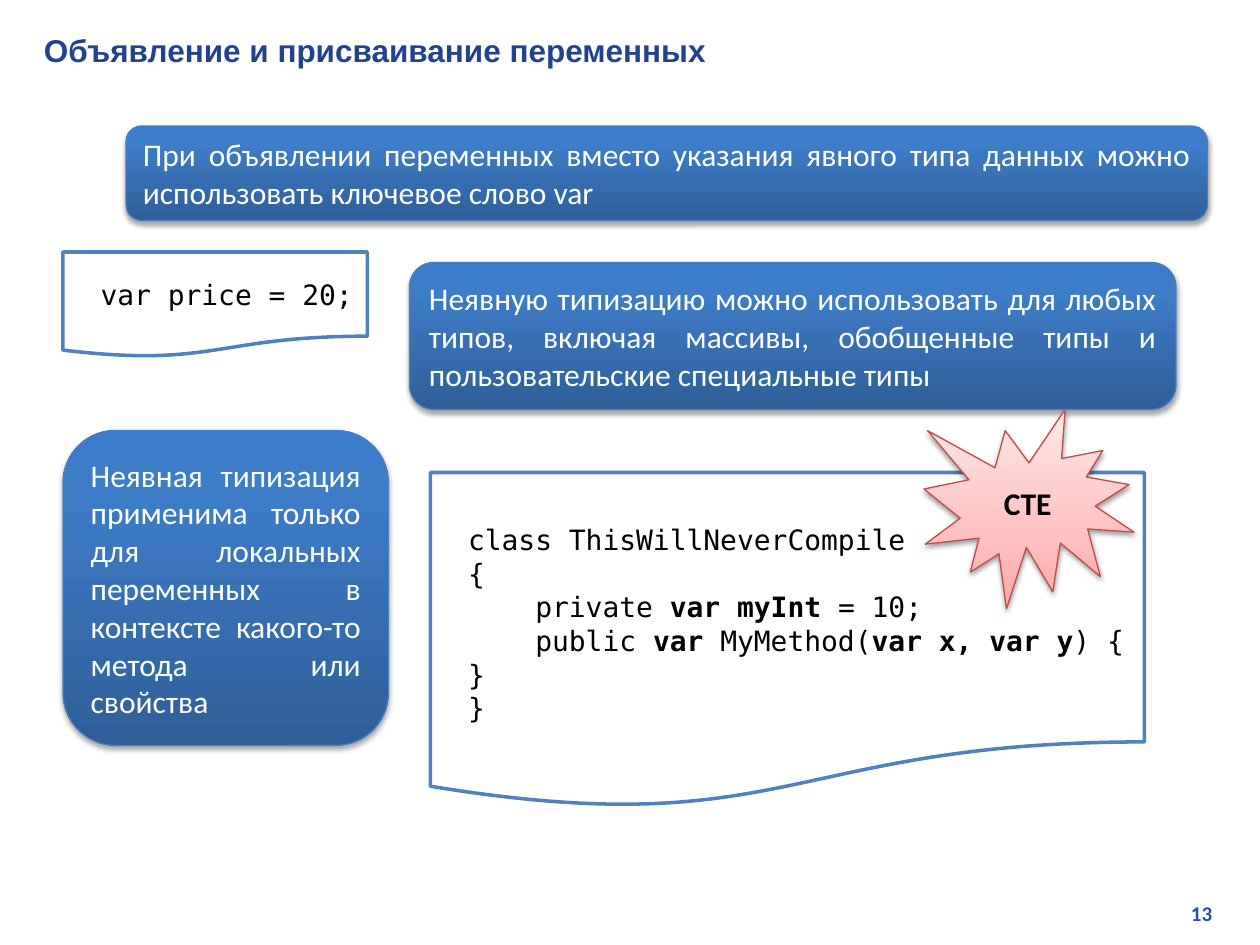
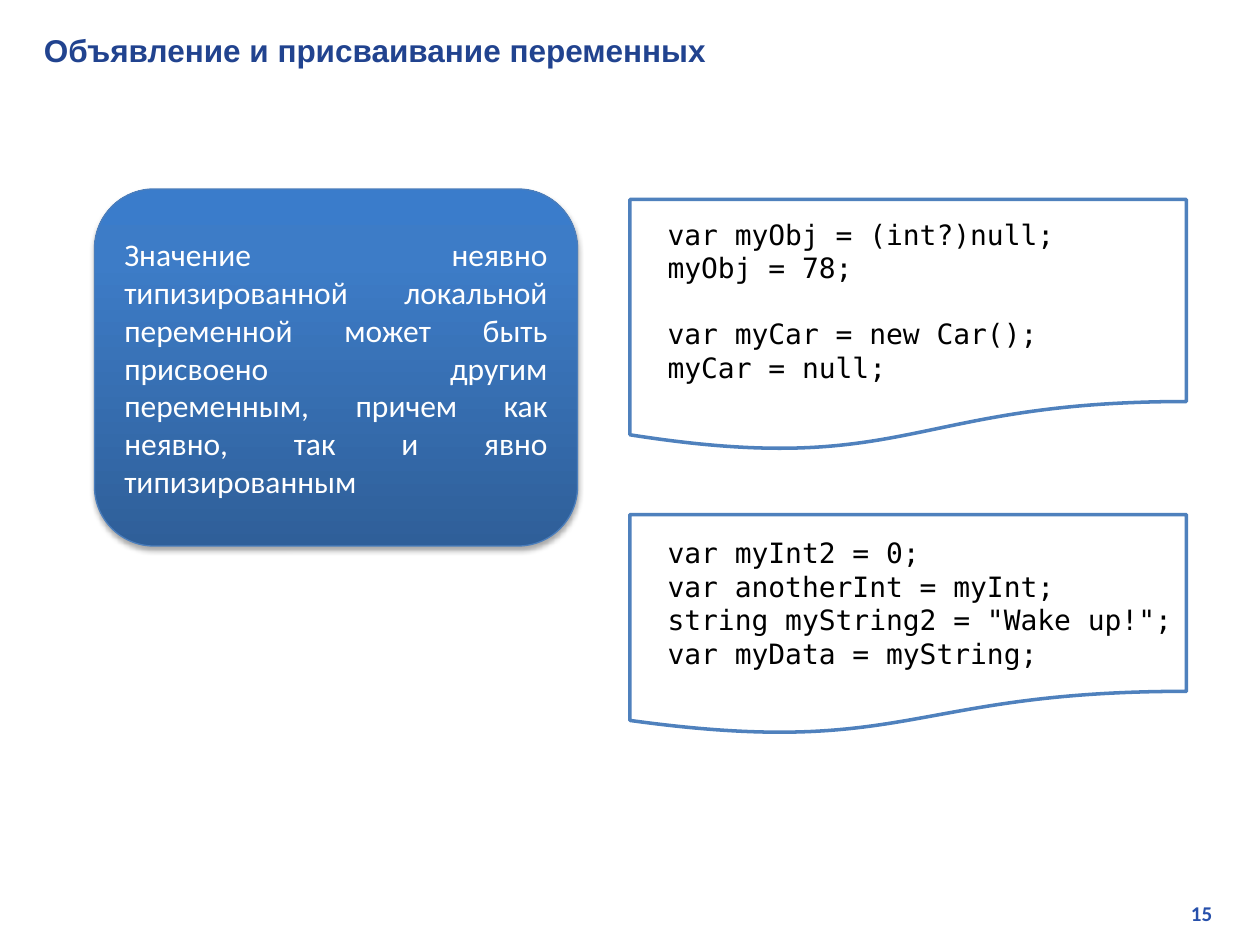
from dataclasses import dataclass

from lxml.etree import SubElement
from pptx import Presentation
from pptx.dml.color import RGBColor
from pptx.enum.shapes import MSO_SHAPE
from pptx.enum.text import MSO_ANCHOR, PP_ALIGN
from pptx.oxml.ns import qn
from pptx.util import Pt

COLORS = {
    "title": "21438F",
    "page": "2750AB",
    "paper": "FFFFFF",
    "code": "000000",
    "code_edge": "4F81BD",
    "note_text": "FFFFFF",
    "note_edge": "4B7EBC",
    "note_dark": "2F5F99",
    "note_mid": "3D7CC7",
    "note_light": "3A7CCB",
    "error_text": "000000",
    "error_edge": "BF4C48",
    "error_dark": "FFA6A5",
    "error_mid": "FFC0BF",
    "error_light": "FFE7E7",
    "shadow": "000000",
}
TITLE = "Объявление и присваивание переменных"
CODE_INDENT = 14.4
CODE_LINE = 18.6
INSET = 3.6


@dataclass(frozen=True)
class Box:
    left: float
    top: float
    width: float
    height: float

    def lengths(self):
        return Pt(self.left), Pt(self.top), Pt(self.width), Pt(self.height)


@dataclass(frozen=True)
class TextStyle:
    font: str
    size: float
    color: str
    bold: bool = False
    align: PP_ALIGN = PP_ALIGN.LEFT


@dataclass(frozen=True)
class GlossStyle:
    outline: MSO_SHAPE
    palette: str
    middle_stop: int
    shadow_alpha: int
    shadow_distance: float
    text: TextStyle


@dataclass(frozen=True)
class Gloss:
    box: Box
    text: str
    style: GlossStyle


@dataclass(frozen=True)
class Code:
    box: Box
    blocks: tuple[str, ...]
    lowered: float = 0


@dataclass(frozen=True)
class Page:
    number: int
    panels: tuple[Gloss | Code, ...]


TITLE_BOX = Box(18, 14.4, 705, 28.8)
NUMBER_BOX = Box(547.2, 511.2, 152.6, 21.6)
TITLE_TEXT = TextStyle("Arial", 18, "title", bold=True)
NUMBER_TEXT = TextStyle("Calibri", 12, "page", bold=True, align=PP_ALIGN.RIGHT)
CODE_TEXT = TextStyle("DejaVu Sans Mono", 16, "code")
NOTE = GlossStyle(MSO_SHAPE.ROUNDED_RECTANGLE, "note", 80, 35, 1.8,
                  TextStyle("Calibri", 18, "note_text", align=PP_ALIGN.JUSTIFY))
ERROR = GlossStyle(MSO_SHAPE.EXPLOSION1, "error", 35, 38, 1.6,
                   TextStyle("Calibri", 18, "error_text", bold=True, align=PP_ALIGN.CENTER))

NEVER_COMPILES = """class ThisWillNeverCompile
{
    private **var myInt **= 10;
    public **var** MyMethod(**var x, var y**) { }
}"""
NULL_VALUE = """var myObj = (int?)null;
myObj = 78;"""
NULL_REFERENCE = """var myCar = new Car();
myCar = null;"""
ASSIGNMENTS = """var myInt2 = 0;
var anotherInt = myInt;
string myString2 = "Wake up!";
var myData = myString;"""

PAGES = (
    Page(13, (
        Gloss(Box(72, 72, 618, 54),
              "При объявлении переменных вместо указания явного типа данных "
              "можно использовать ключевое слово var", NOTE),
        Gloss(Box(234, 150, 438, 84),
              "Неявную типизацию можно использовать для любых типов, включая "
              "массивы, обобщенные типы и пользовательские специальные типы", NOTE),
        Code(Box(36, 144, 174, 60), ("var price = 20;",)),
        Gloss(Box(36, 246, 186, 180),
              "Неявная типизация применима только для локальных переменных "
              "в контексте какого-то метода или свойства", NOTE),
        Code(Box(246, 270, 408, 192), (NEVER_COMPILES,), lowered=CODE_LINE),
        Gloss(Box(528, 234, 120, 114), "CTE", ERROR),
    )),
    Page(15, (
        Code(Box(360, 294, 318, 126), (ASSIGNMENTS,)),
        Gloss(Box(54, 108, 276, 204),
              "Значение неявно типизированной локальной переменной может быть "
              "присвоено другим переменным, причем как неявно, так и явно "
              "типизированным", NOTE),
        Code(Box(360, 114, 318, 144), (NULL_VALUE, NULL_REFERENCE)),
    )),
)


def rgb(name: str) -> RGBColor:
    return RGBColor.from_string(COLORS[name])


def format_paragraph(paragraph, style: TextStyle) -> None:
    paragraph.alignment = style.align
    for run in paragraph.runs:
        run.font.name = style.font
        run.font.size = Pt(style.size)
        run.font.bold = style.bold
        run.font.color.rgb = rgb(style.color)


def write_text(shape, text: str, style: TextStyle) -> None:
    frame = shape.text_frame
    frame.word_wrap = True
    frame.vertical_anchor = MSO_ANCHOR.MIDDLE
    frame.text = text
    format_paragraph(frame.paragraphs[0], style)


def draw_label(slide, box: Box, text: str, style: TextStyle) -> None:
    write_text(slide.shapes.add_textbox(*box.lengths()), text, style)


def draw_outline(slide, outline: MSO_SHAPE, box: Box, edge: str, weight: float):
    shape = slide.shapes.add_shape(outline, *box.lengths())
    shape.shadow.inherit = False
    shape.line.color.rgb = rgb(edge)
    shape.line.width = Pt(weight)
    return shape


def add_color(parent, name: str):
    return SubElement(parent, qn("a:srgbClr"), val=COLORS[name])


def shade(shape, style: GlossStyle) -> None:
    shape.fill.gradient()
    shape.fill.gradient_angle = 90
    properties = shape._element.spPr
    stops = next(properties.iter(qn("a:gsLst")))
    for stop in list(stops):
        stops.remove(stop)
    for tone, position in (("dark", 0), ("mid", style.middle_stop), ("light", 100)):
        stop = SubElement(stops, qn("a:gs"), pos=str(position * 1000))
        add_color(stop, f"{style.palette}_{tone}")
    shadow = SubElement(properties.find(qn("a:effectLst")), qn("a:outerShdw"),
                        blurRad=str(Pt(3.1)), dist=str(Pt(style.shadow_distance)),
                        dir="5400000", rotWithShape="0")
    SubElement(add_color(shadow, "shadow"), qn("a:alpha"),
               val=str(style.shadow_alpha * 1000))


def draw_gloss(slide, gloss: Gloss) -> None:
    style = gloss.style
    shape = draw_outline(slide, style.outline, gloss.box, f"{style.palette}_edge", 0.75)
    shade(shape, style)
    write_text(shape, gloss.text, style.text)


def write_code_line(paragraph, line: str) -> None:
    properties = paragraph._p.get_or_add_pPr()
    properties.set("marL", str(Pt(CODE_INDENT)))
    properties.set("indent", "0")
    pieces = line.split("**")
    paragraph.text = pieces[0]
    for piece in pieces[1:]:
        paragraph.add_run().text = piece
    format_paragraph(paragraph, CODE_TEXT)
    for run in paragraph.runs[1::2]:
        run.font.bold = True


def draw_code(slide, code: Code) -> None:
    shape = draw_outline(slide, MSO_SHAPE.FLOWCHART_DOCUMENT, code.box, "code_edge", 2)
    shape.fill.solid()
    shape.fill.fore_color.rgb = rgb("paper")
    frame = shape.text_frame
    frame.word_wrap = True
    frame.vertical_anchor = MSO_ANCHOR.MIDDLE
    frame.margin_top = Pt(INSET + code.lowered)
    frame.text = "\n".join(code.blocks)
    paragraphs = iter(frame.paragraphs)
    for block_index, block in enumerate(code.blocks):
        for line_index, line in enumerate(block.splitlines()):
            paragraph = next(paragraphs)
            write_code_line(paragraph, line)
            if block_index and not line_index:
                paragraph.space_before = Pt(CODE_LINE)


def draw_page(presentation, page: Page) -> None:
    slide = presentation.slides.add_slide(presentation.slide_layouts[6])
    draw_label(slide, NUMBER_BOX, str(page.number), NUMBER_TEXT)
    draw_label(slide, TITLE_BOX, TITLE, TITLE_TEXT)
    for panel in page.panels:
        if isinstance(panel, Code):
            draw_code(slide, panel)
        else:
            draw_gloss(slide, panel)


def main() -> None:
    presentation = Presentation()
    presentation.slide_width = Pt(720)
    presentation.slide_height = Pt(540)
    for page in PAGES:
        draw_page(presentation, page)
    presentation.save("out.pptx")


if __name__ == "__main__":
    main()
